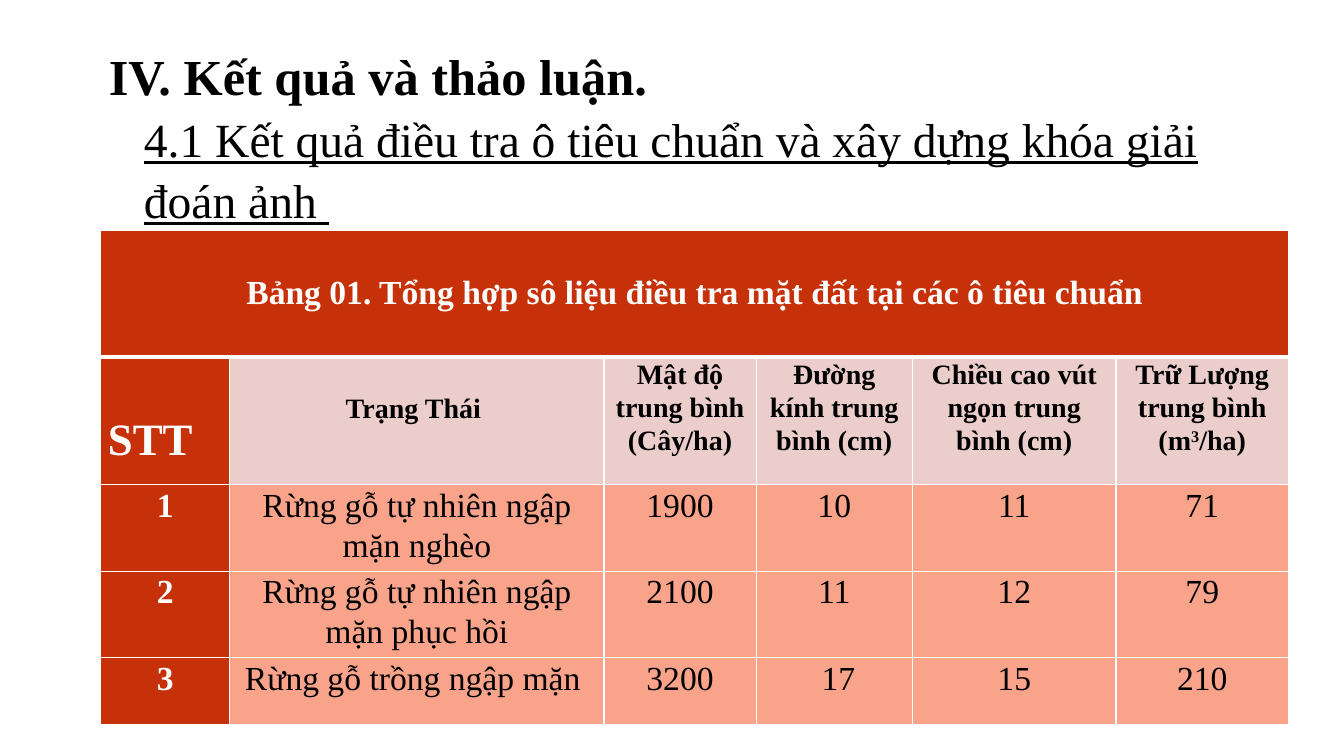
from dataclasses import dataclass

from lxml import etree
from pptx import Presentation
from pptx import util as u
from pptx.dml.color import RGBColor
from pptx.enum import text
from pptx.oxml import ns


@dataclass(frozen=True)
class Theme:
    font: str = "Times New Roman"
    black: str = "000000"
    white: str = "FFFFFF"
    red: str = "C73109"
    pink: str = "EBCECC"
    salmon: str = "FAA38B"
    title: int = 36
    subtitle: int = 34
    index_head: int = 32
    body: int = 24
    column_head: int = 20
    line_spacing: float = 1.07


THEME = Theme()


@dataclass(frozen=True)
class CellStyle:
    fill: str
    size: int
    color: str = THEME.black
    bold: bool = True
    centered: bool = True
    top: float = 0


@dataclass(frozen=True)
class Heading:
    words: str
    left: float
    top: float
    width: float
    height: float
    size: int
    inset: float = 0.1
    bold: bool = False
    underline: bool = False
    wrap: bool = True


HEADINGS = [
    Heading("IV. Kết quả và thảo luận.", 0.78, 0.36, 5.92, 0.72, THEME.title,
            inset=0.3, bold=True, wrap=False),
    Heading("4.1 Kết quả điều tra ô tiêu chuẩn và xây dựng khóa giải đoán ảnh ",
            1.33, 1, 10.67, 1.3, THEME.subtitle, underline=True),
]

CAPTION = "Bảng 01. Tổng hợp sô liệu điều tra mặt đất tại các ô tiêu chuẩn"
COLUMN_HEADS = [
    "STT",
    "Trạng Thái ",
    "Mật độ trung bình (Cây/ha)",
    "Đường kính trung bình (cm)",
    "Chiều cao vút ngọn trung bình (cm)",
    "Trữ Lượng trung bình (m^3^/ha)",
]
FOREST_ROWS = [
    ["1", "Rừng gỗ tự nhiên ngập mặn nghèo", "1900", "10", "11", "71"],
    ["2", "Rừng gỗ tự nhiên ngập mặn phục hồi", "2100", "11", "12", "79"],
    ["3", "Rừng gỗ trồng ngập mặn ", "3200", " 17", "15", "210"],
]
COLUMN_WIDTHS = [1.28, 3.71, 1.51, 1.55, 2.02, 1.71]
ROW_HEIGHTS = [1.25, 1.27, 0.85, 0.86, 0.66]

CAPTION_STYLE = CellStyle(THEME.red, THEME.body, THEME.white, top=0.41)
INDEX_HEAD = CellStyle(THEME.red, THEME.index_head, THEME.white,
                       centered=False, top=0.55)
STATE_HEAD = CellStyle(THEME.pink, THEME.column_head, top=0.34)
VALUE_HEAD = CellStyle(THEME.pink, THEME.column_head)
INDEX = CellStyle(THEME.red, THEME.body, THEME.white)
VALUE = CellStyle(THEME.salmon, THEME.body, bold=False)


def write(para, words: str, *, size: int, color: str = THEME.black,
          bold: bool = False, underline: bool = False, centered: bool = False,
          after: float = 0) -> None:
    """Add formatted text; a part between carets is raised."""
    para.line_spacing = THEME.line_spacing
    para.space_after = u.Pt(after)
    para.alignment = text.PP_ALIGN.CENTER if centered else text.PP_ALIGN.LEFT
    for position, part in enumerate(words.split("^")):
        span = para.add_run()
        span.text = part
        font = span.font
        font.name, font.size = THEME.font, u.Pt(size)
        font.bold, font.underline = bold, underline
        font.color.rgb = RGBColor.from_string(color)
        if position % 2:
            span._r.get_or_add_rPr().set("baseline", "30000")


def add_heading(page, heading: Heading) -> None:
    box = page.shapes.add_textbox(u.Inches(heading.left), u.Inches(heading.top),
                                  u.Inches(heading.width), u.Inches(heading.height))
    frame = box.text_frame
    frame.word_wrap = heading.wrap
    frame.auto_size = text.MSO_AUTO_SIZE.SHAPE_TO_FIT_TEXT
    frame.margin_left = u.Inches(heading.inset)
    write(frame.paragraphs[0], heading.words, size=heading.size,
          bold=heading.bold, underline=heading.underline, after=8)


def set_borders(cell, widths: dict[str, float]) -> None:
    properties = cell._tc.get_or_add_tcPr()
    for position, side in enumerate("LRTB"):
        line = etree.Element(ns.qn(f"a:ln{side}"), w=str(u.Pt(widths.get(side, 1))))
        fill = etree.SubElement(line, ns.qn("a:solidFill"))
        etree.SubElement(fill, ns.qn("a:srgbClr"), val=THEME.white)
        properties.insert(position, line)


def fill_cell(cell, words: str, style: CellStyle) -> None:
    cell.margin_left = cell.margin_right = u.Inches(0.07)
    cell.margin_top, cell.margin_bottom = u.Inches(style.top), 0
    cell.fill.solid()
    cell.fill.fore_color.rgb = RGBColor.from_string(style.fill)
    write(cell.text_frame.paragraphs[0], words, size=style.size,
          color=style.color, bold=style.bold, centered=style.centered)


def add_survey_table(page) -> None:
    frame = page.shapes.add_table(
        len(ROW_HEIGHTS), len(COLUMN_WIDTHS), u.Inches(1), u.Inches(2.29),
        u.Inches(sum(COLUMN_WIDTHS)), u.Inches(sum(ROW_HEIGHTS)))
    table = frame.table
    for column, width in zip(table.columns, COLUMN_WIDTHS):
        column.width = u.Inches(width)
    for row, height in zip(table.rows, ROW_HEIGHTS):
        row.height = u.Inches(height)

    caption = table.cell(0, 0)
    caption.merge(table.cell(0, len(COLUMN_WIDTHS) - 1))
    fill_cell(caption, CAPTION, CAPTION_STYLE)

    value_count = len(COLUMN_WIDTHS) - 2
    head_styles = [INDEX_HEAD, STATE_HEAD] + [VALUE_HEAD] * value_count
    row_styles = [INDEX] + [VALUE] * (value_count + 1)
    for r, words_in_row in enumerate([COLUMN_HEADS, *FOREST_ROWS], start=1):
        styles = head_styles if r == 1 else row_styles
        for c, (words, style) in enumerate(zip(words_in_row, styles)):
            fill_cell(table.cell(r, c), words, style)

    thick_sides = {0: {"B": 3}, 1: {"T": 3}}
    for r, row in enumerate(table.rows):
        for cell in row.cells:
            set_borders(cell, thick_sides.get(r, {}))


def main() -> None:
    deck = Presentation()
    deck.slide_width, deck.slide_height = u.Inches(13.33), u.Inches(7.5)
    page = deck.slides.add_slide(deck.slide_layouts[6])
    for heading in HEADINGS:
        add_heading(page, heading)
    add_survey_table(page)
    deck.save("out.pptx")


if __name__ == "__main__":
    main()
